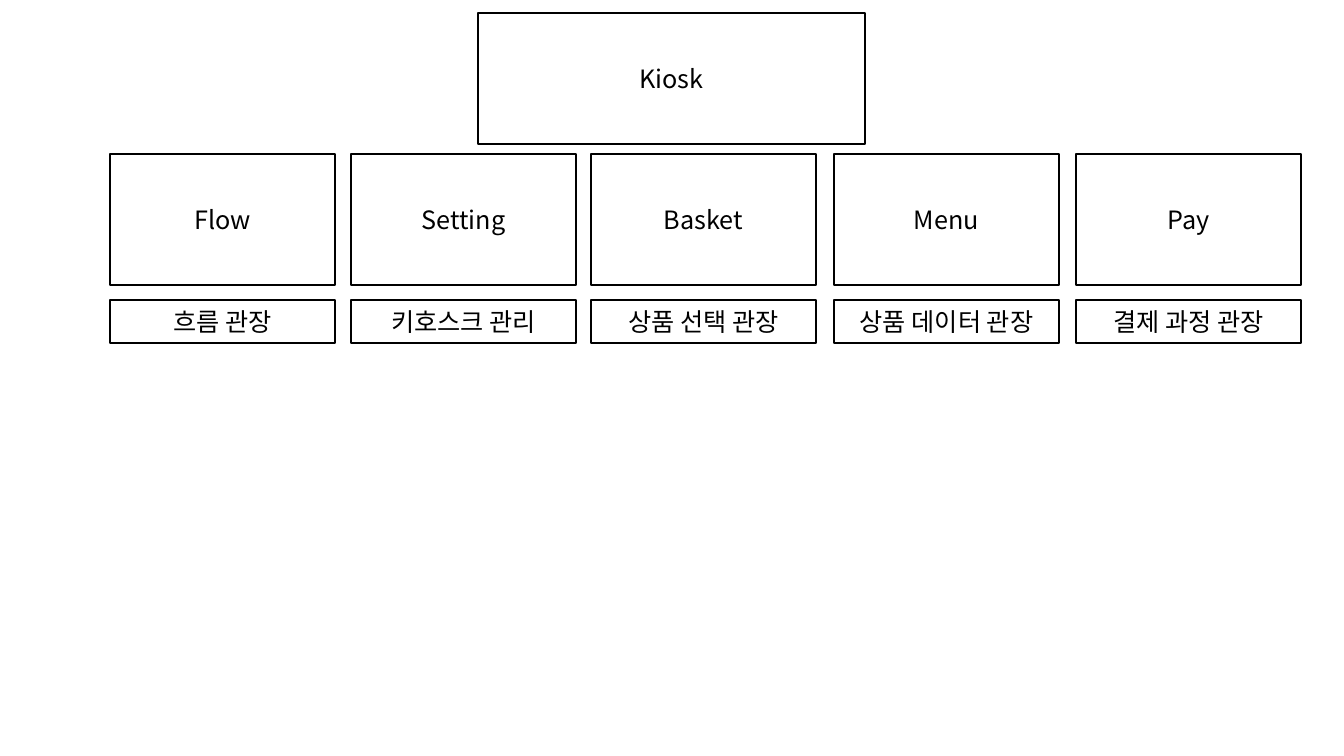
from dataclasses import dataclass

from lxml import etree
from pptx import Presentation
from pptx.dml.color import RGBColor
from pptx.enum.shapes import MSO_SHAPE
from pptx.enum.text import MSO_ANCHOR, PP_ALIGN
from pptx.oxml.ns import qn
from pptx.util import Inches, Pt

PIXELS_PER_INCH = 100.8


@dataclass(frozen=True)
class Theme:
    paper: RGBColor = RGBColor(0xFF, 0xFF, 0xFF)
    ink: RGBColor = RGBColor(0, 0, 0)
    font: str = "Noto Sans CJK KR"
    text_size: Pt = Pt(18)
    border: Pt = Pt(1)


THEME = Theme()

# Left edge, module name, responsibility
MODULES = [
    (110, "Flow", "흐름 관장"),
    (351, "Setting", "키호스크 관리"),
    (591, "Basket", "상품 선택 관장"),
    (834, "Menu", "상품 데이터 관장"),
    (1076, "Pay", "결제 과정 관장"),
]
MODULE_WIDTH = 225
BOX_HEIGHT = 131
ROLE_HEIGHT = 43


def px(pixels):
    return Inches(pixels / PIXELS_PER_INCH)


def add_box(slide, text, left, top, width, height):
    """Add an outlined rectangle with centred text."""
    box = slide.shapes.add_shape(
        MSO_SHAPE.RECTANGLE, px(left), px(top), px(width), px(height))
    box.shadow.inherit = False
    box.fill.solid()
    box.fill.fore_color.rgb = THEME.paper
    box.line.color.rgb = THEME.ink
    box.line.width = THEME.border

    frame = box.text_frame
    frame.word_wrap = True
    frame.vertical_anchor = MSO_ANCHOR.MIDDLE
    paragraph = frame.paragraphs[0]
    paragraph.alignment = PP_ALIGN.CENTER
    run = paragraph.add_run()
    run.text = text
    run.font.size = THEME.text_size
    run.font.color.rgb = THEME.ink
    run.font.name = THEME.font
    # Korean glyphs take the East Asian typeface
    east_asian = etree.SubElement(run.font._element, qn("a:ea"))
    east_asian.set("typeface", THEME.font)


def add_module(slide, left, name, role):
    """Add a module box with its responsibility below."""
    add_box(slide, name, left, 154, MODULE_WIDTH, BOX_HEIGHT)
    add_box(slide, role, left, 300, MODULE_WIDTH, ROLE_HEIGHT)


def main():
    deck = Presentation()
    deck.slide_width, deck.slide_height = px(1344), px(756)
    slide = deck.slides.add_slide(deck.slide_layouts[6])

    # Top-level system
    add_box(slide, "Kiosk", 478, 13, 387, BOX_HEIGHT)

    # Modules and their responsibilities
    for left, name, role in MODULES:
        add_module(slide, left, name, role)

    deck.save("out.pptx")


main()
